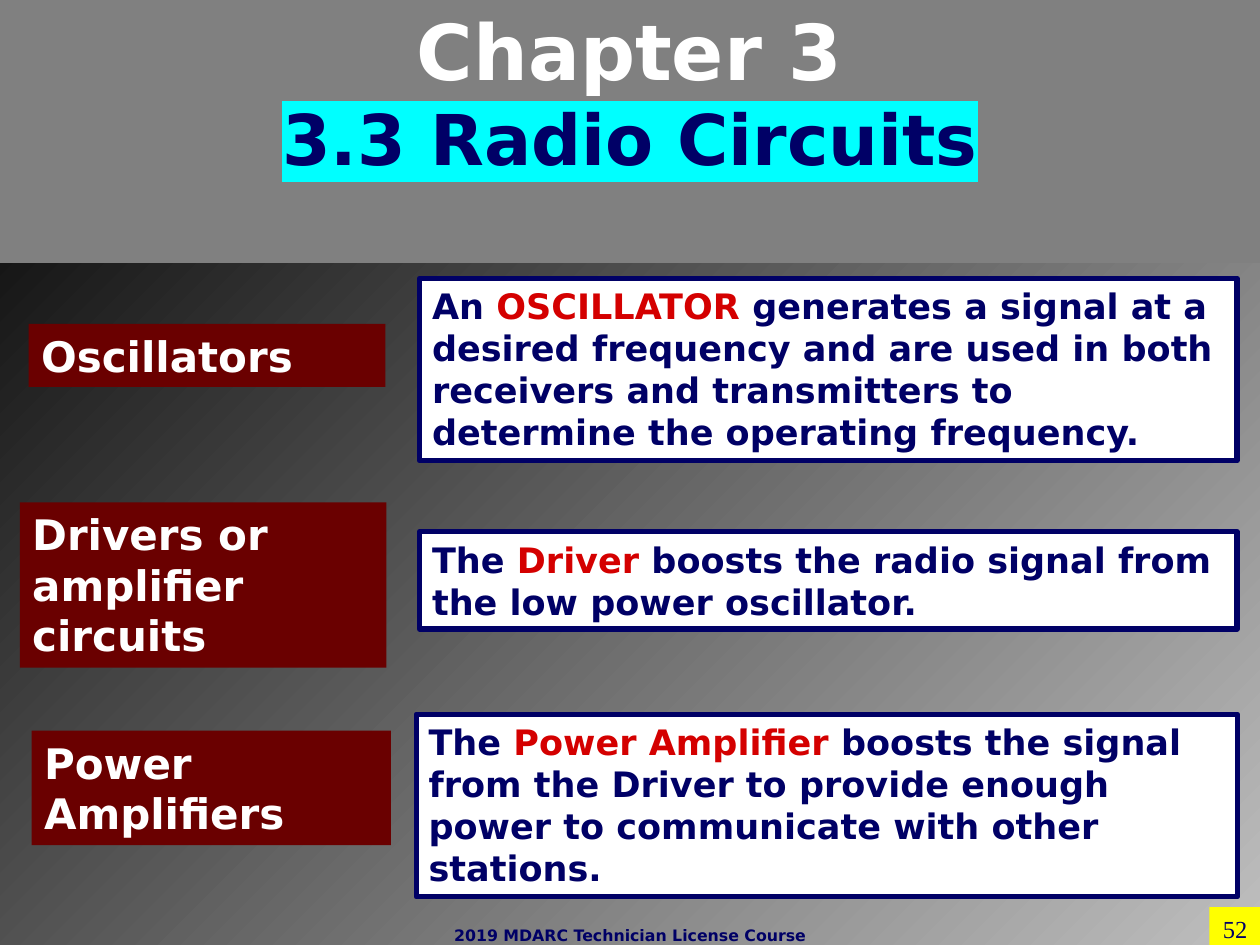
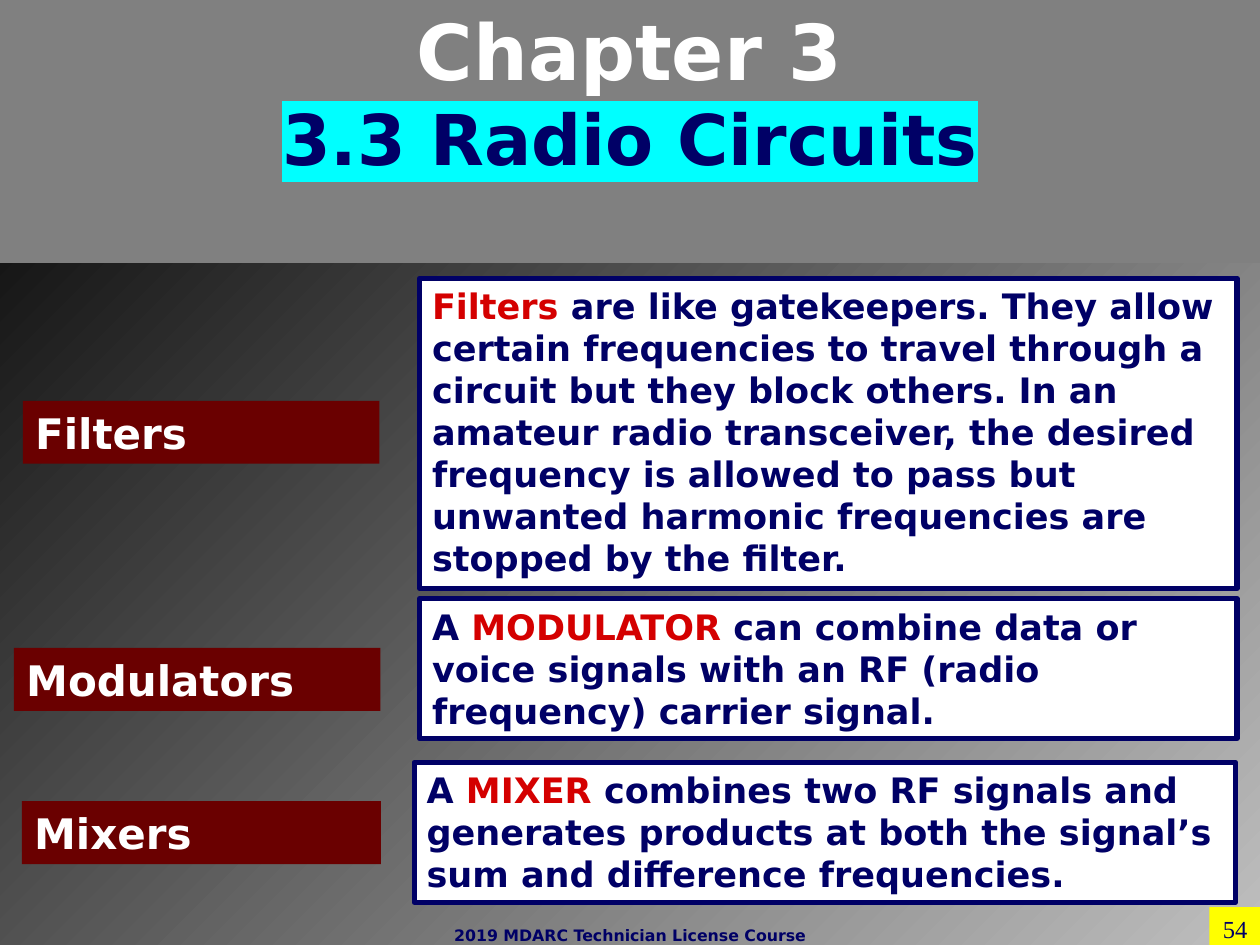
import pptx
import pptx.util
import pptx.dml.color
import pptx.enum.shapes
import pptx.enum.text
import pptx.oxml
import pptx.oxml.ns

COLOURS = {
    "band": "808080",
    "label": "6A0000",
    "navy": "000066",
    "term": "D40000",
    "white": "FFFFFF",
    "highlight": "00FFFF",
    "number": "FFFF00",
    "glow": "BFBFBF",
    "dark": "000000",
}
Cm = pptx.util.Cm
ALIGN = pptx.enum.text.PP_ALIGN


def rgb(name):
    return pptx.dml.color.RGBColor.from_string(COLOURS[name])


def add_text(slide, box, lines, size=20, font="DejaVu Sans", bold=True, fill=None,
             border=None, align=ALIGN.LEFT, inset_top=0.13):
    block = slide.shapes.add_shape(
        pptx.enum.shapes.MSO_SHAPE.RECTANGLE, *[Cm(value) for value in box])
    block.shadow.inherit = False
    if fill:
        block.fill.solid()
        block.fill.fore_color.rgb = rgb(fill)
    else:
        block.fill.background()
    if border:
        block.line.color.rgb = rgb(border)
        block.line.width = pptx.util.Pt(3)
    else:
        block.line.fill.background()
    frame = block.text_frame
    frame.word_wrap = True
    frame.vertical_anchor = pptx.enum.text.MSO_ANCHOR.TOP
    frame.margin_top = Cm(inset_top)
    paragraph = frame.paragraphs[0]
    paragraph.alignment = align
    for index, line in enumerate(lines):
        if index:
            paragraph.add_line_break()
        for words, colour, *special in line:
            if not words:
                continue
            run = paragraph.add_run()
            run.text = words
            run.font.name = font
            run.font.bold = bold
            run.font.size = pptx.util.Pt(special[0] if special else size)
            run.font.color.rgb = rgb(colour)
            if len(special) > 1:
                highlight = pptx.oxml.parse_xml(
                    f'<a:highlight {pptx.oxml.ns.nsdecls("a")}>'
                    f'<a:srgbClr val="{COLOURS[special[1]]}"/></a:highlight>')
                run.font._element.find(pptx.oxml.ns.qn("a:solidFill")).addnext(highlight)


deck = pptx.Presentation()
deck.slide_width = Cm(25.4)
deck.slide_height = Cm(19.05)

background = deck.slide_master.background
background.fill.gradient()
gradient = deck.slide_master.element.find(".//" + pptx.oxml.ns.qn("a:gradFill"))
gradient.getparent().replace(gradient, pptx.oxml.parse_xml(
    f'<a:gradFill rotWithShape="0" {pptx.oxml.ns.nsdecls("a")}><a:gsLst>'
    f'<a:gs pos="0"><a:srgbClr val="{COLOURS["glow"]}"/></a:gs>'
    f'<a:gs pos="100000"><a:srgbClr val="{COLOURS["dark"]}"/></a:gs></a:gsLst>'
    '<a:path path="circle"><a:fillToRect l="100000" t="100000"/></a:path></a:gradFill>'))

chapter_pages = [
    ("52", [
        ("Oscillators", (0.58, 6.53, 7.19, 1.27),
         ("An ", "OSCILLATOR", " generates a signal at a desired frequency and are used in "
          "both receivers and transmitters to determine the operating frequency."),
         (8.46, 5.61, 16.48, 3.68)),
        ("Drivers or amplifier circuits", (0.4, 10.13, 7.39, 3.33),
         ("The ", "Driver", " boosts the radio signal from the low power oscillator."),
         (8.46, 10.72, 16.48, 1.96)),
        ("Power Amplifiers", (0.64, 14.73, 7.24, 2.31),
         ("The ", "Power Amplifier ", "boosts the signal from the Driver to provide enough "
          "power to communicate with other stations."),
         (8.39, 14.4, 16.56, 3.68)),
    ]),
    ("54", [
        ("Filters", (0.46, 8.08, 7.19, 1.27),
         ("", "Filters ", "are like gatekeepers. They allow certain frequencies to travel "
          "through a circuit but they block others. In an amateur radio transceiver, the "
          "desired frequency is allowed to pass but unwanted harmonic frequencies are "
          "stopped by the filter."),
         (8.46, 5.61, 16.48, 6.25)),
        ("Modulators", (0.28, 13.06, 7.39, 1.27),
         ("A ", "MODULATOR", " can combine data or voice signals with an RF (radio "
          "frequency) carrier signal."),
         (8.46, 12.07, 16.48, 2.82)),
        ("Mixers", (0.44, 16.15, 7.24, 1.27),
         ("A ", "MIXER", " combines two RF signals and generates products at both the "
          "signal’s sum and difference frequencies."),
         (8.35, 15.37, 16.56, 2.82)),
    ]),
]

for page_number, circuits in chapter_pages:
    page = deck.slides.add_slide(deck.slide_layouts[6])
    add_text(page, (0, -0.2, 25.4, 5.5),
             [[("Chapter 3", "white", 44)],
              [("3.3 Radio Circuits", "navy", 40, "highlight")]],
             size=44, fill="band", align=ALIGN.CENTER, inset_top=0.27)
    add_text(page, (24.38, 18.29, 1.02, 0.76), [[(page_number, "navy")]], size=14,
             font="Times New Roman", bold=False, fill="number", align=ALIGN.RIGHT)
    for circuit, label_box, (lead, term, rest), meaning_box in circuits:
        add_text(page, label_box, [[(circuit, "white")]], size=24, fill="label")
        add_text(page, meaning_box,
                 [[(lead, "navy"), (term, "term"), (rest, "navy")]],
                 fill="white", border="navy")
    add_text(page, (8.89, 18.54, 7.62, 0.51),
             [[("2019 MDARC Technician License Course", "navy")]],
             size=9, align=ALIGN.CENTER)

deck.save("out.pptx")
